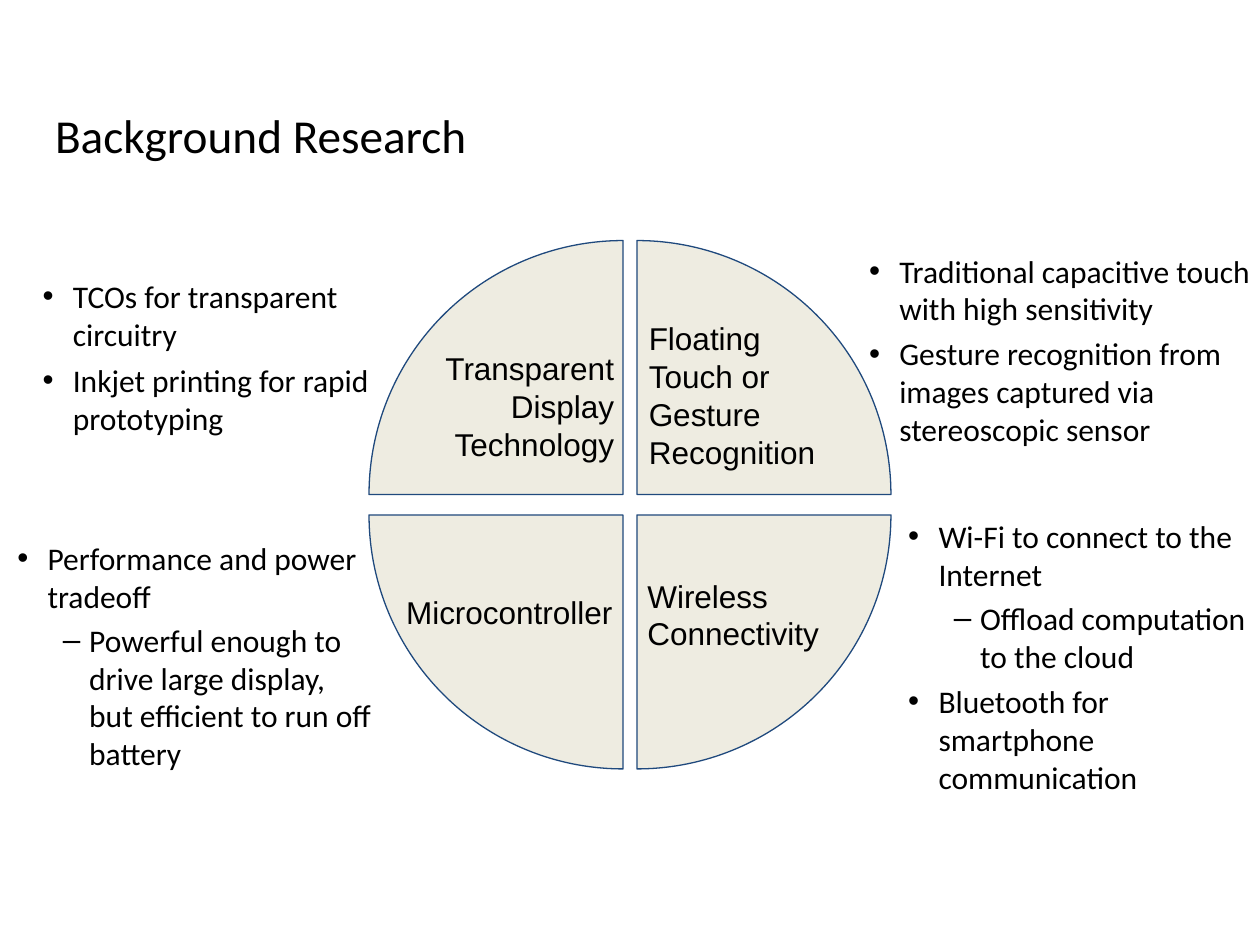
from dataclasses import dataclass

from lxml import etree
from pptx import Presentation
from pptx.dml.color import RGBColor
from pptx.enum.shapes import MSO_SHAPE
from pptx.enum.text import MSO_ANCHOR, PP_ALIGN
from pptx.oxml.ns import qn
from pptx.util import Cm, Pt

PIE = MSO_SHAPE.PIE
MIDDLE = MSO_ANCHOR.MIDDLE
LEFT, RIGHT = PP_ALIGN.LEFT, PP_ALIGN.RIGHT
BLACK, CREAM, NAVY = "000000", "EEECE1", "1F497D"
PIE_SIZE = 10.24
PIE_LEFT, PIE_RIGHT = 7.44, 7.72
PIE_TOP, PIE_BOTTOM = 4.85, 5.26


@dataclass(frozen=True)
class Bullet:
    symbol: str
    margin: float
    hanging: float
    space: float


@dataclass(frozen=True)
class Line:
    text: str
    bullet: Bullet | None = None
    level: int = 0


@dataclass(frozen=True)
class TextBlock:
    left: float
    top: float
    width: float
    height: float
    lines: tuple[Line, ...]
    font: str = "Calibri"
    size: int = 18
    align: PP_ALIGN = LEFT


@dataclass(frozen=True)
class Quadrant:
    left: float
    top: float
    rotation: int


DOT = Bullet("•", 0.71, 0.61, 4.2)
LOOSE_DOT = Bullet("•", 0.71, 0.61, 4.8)
DASH = Bullet("–", 1.55, 0.53, 3.6)

QUADRANTS = (
    Quadrant(PIE_LEFT, PIE_TOP, 0),
    Quadrant(PIE_RIGHT, PIE_TOP, 90),
    Quadrant(PIE_LEFT, PIE_BOTTOM, 270),
    Quadrant(PIE_RIGHT, PIE_BOTTOM, 180),
)

TITLE = TextBlock(0.86, 1.65, 23.67, 2.11, (Line("Background Research"),), size=27)

LABELS = (
    TextBlock(7.75, 6.35, 4.88, 3.66, (Line("Transparent Display Technology"),),
              "Arial", align=RIGHT),
    TextBlock(12.83, 5.92, 4.47, 4.09,
              (Line("Floating Touch or"), Line("Gesture Recognition")), "Arial"),
    TextBlock(7.72, 10.34, 4.88, 3.99, (Line("Microcontroller"),), "Arial", align=RIGHT),
    TextBlock(12.8, 10.34, 4.34, 4.09, (Line("Wireless Connectivity"),), "Arial"),
)

NOTES = (
    TextBlock(17.17, 4.8, 8.59, 4.5, (
        Line("Traditional capacitive touch with high sensitivity", DOT),
        Line("Gesture recognition from images captured via stereoscopic sensor", DOT),
    )),
    TextBlock(0.51, 5.26, 8.33, 3.86, (
        Line("TCOs for transparent circuitry", DOT),
        Line("Inkjet printing for rapid prototyping", LOOSE_DOT),
    )),
    TextBlock(0, 10.74, 7.77, 4.95, (
        Line("Performance and power tradeoff", DOT),
        Line("Powerful enough to drive large display, but efficient to run off battery",
             DASH, 1),
    )),
    TextBlock(17.96, 10.41, 7.92, 5.64, (
        Line("Wi-Fi to connect to the Internet", DOT),
        Line("Offload computation to the cloud", DASH, 1),
        Line("Bluetooth for smartphone communication", DOT),
    )),
)


def color(value: str) -> RGBColor:
    return RGBColor.from_string(value)


def add_bullet(para, bullet: Bullet) -> None:
    para.space_before = Pt(bullet.space)
    properties = para._p.get_or_add_pPr()
    properties.set("marL", str(Cm(bullet.margin)))
    properties.set("indent", str(-Cm(bullet.hanging)))
    bullet_color = etree.SubElement(properties, qn("a:buClr"))
    etree.SubElement(bullet_color, qn("a:srgbClr"), val=BLACK)
    etree.SubElement(properties, qn("a:buFont"), typeface="Arial")
    etree.SubElement(properties, qn("a:buChar"), char=bullet.symbol)


def add_text(page, block: TextBlock) -> None:
    box = page.shapes.add_textbox(
        Cm(block.left), Cm(block.top), Cm(block.width), Cm(block.height))
    frame = box.text_frame
    frame.word_wrap = True
    frame.vertical_anchor = MIDDLE
    frame.margin_left = frame.margin_right = Cm(0.25)
    frame.margin_top = frame.margin_bottom = Cm(0.25)
    for index, line in enumerate(block.lines):
        para = frame.add_paragraph() if index else frame.paragraphs[0]
        para.text = line.text
        para.level = line.level
        para.alignment = block.align
        if line.bullet:
            add_bullet(para, line.bullet)
        para.font.name = block.font
        para.font.size = Pt(block.size)
        para.font.color.rgb = color(BLACK)


def add_quadrant(page, quadrant: Quadrant) -> None:
    pie = page.shapes.add_shape(
        PIE, Cm(quadrant.left), Cm(quadrant.top), Cm(PIE_SIZE), Cm(PIE_SIZE))
    pie.adjustments[0] = 108
    pie.adjustments[1] = 162
    pie.rotation = quadrant.rotation
    pie.shadow.inherit = False
    pie.fill.solid()
    pie.fill.fore_color.rgb = color(CREAM)
    pie.line.color.rgb = color(NAVY)
    pie.line.width = Pt(0.75)


def main() -> None:
    deck = Presentation()
    deck.slide_width, deck.slide_height = Cm(25.4), Cm(19.05)
    page = deck.slides.add_slide(deck.slide_layouts[6])
    add_text(page, TITLE)
    for quadrant in QUADRANTS:
        add_quadrant(page, quadrant)
    for block in LABELS + NOTES:
        add_text(page, block)
    deck.save("out.pptx")


if __name__ == "__main__":
    main()
